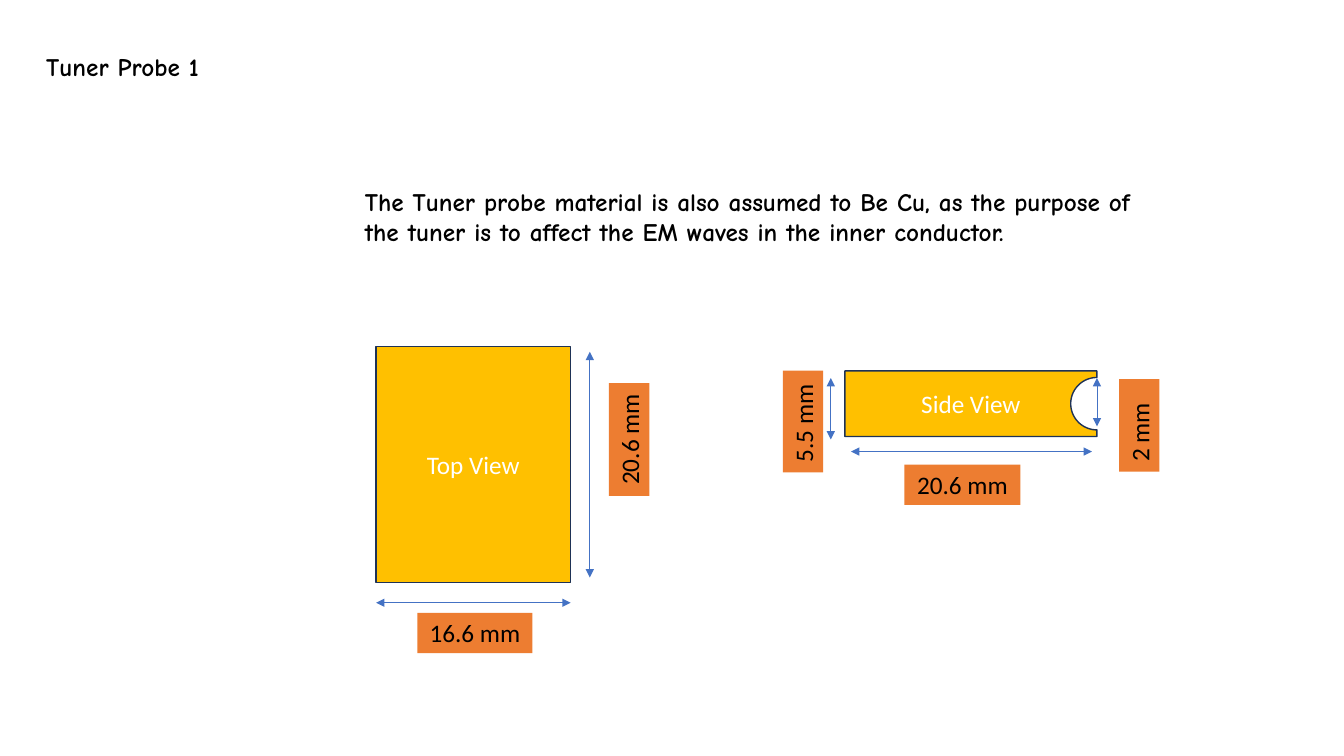
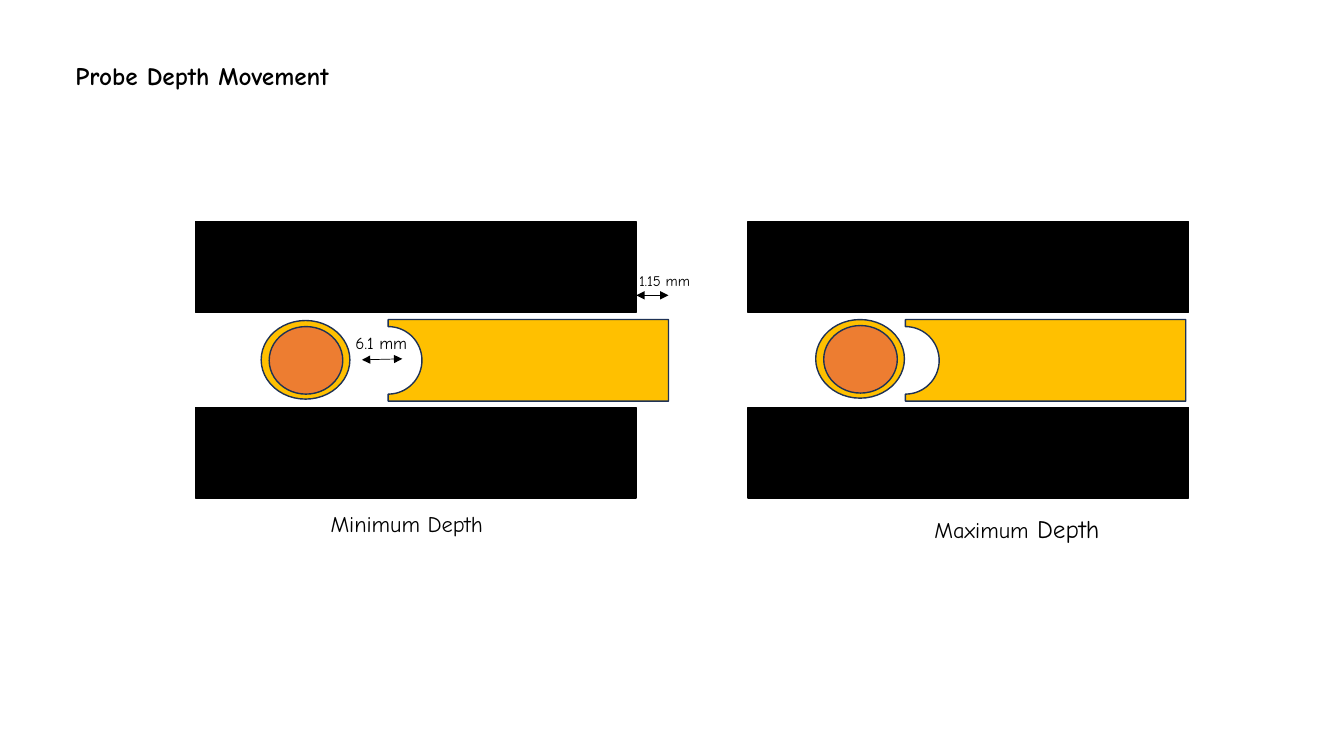
from math import cos, pi, sin

from lxml.etree import SubElement
from pptx import Presentation
from pptx.dml.color import RGBColor as Rgb
from pptx.enum.shapes import MSO_CONNECTOR as Link, MSO_SHAPE as Form
from pptx.enum.text import MSO_ANCHOR as Anchor, PP_ALIGN as Align
from pptx.oxml.ns import qn
from pptx.util import Inches, Pt

GOLD = Rgb(0xFF, 0xC0, 0x00)
ORANGE = Rgb(0xED, 0x7D, 0x31)
NAVY = Rgb(0x1E, 0x32, 0x56)
BLUE = Rgb(0x44, 0x72, 0xC4)
BLACK = Rgb(0, 0, 0)
WHITE = Rgb(0xFF, 0xFF, 0xFF)
COMIC = "Comic Neue"
PLAIN = "Calibri"


def write(shape, text, size=18, font=COMIC, color=BLACK, bold=False,
          align=Align.LEFT, anchor=Anchor.TOP):
    frame = shape.text_frame
    frame.word_wrap = True
    frame.vertical_anchor = anchor
    para = frame.paragraphs[0]
    para.alignment = align
    run = para.add_run()
    run.text = text
    run.font.size = Pt(size)
    run.font.name = font
    run.font.bold = bold
    run.font.color.rgb = color


class Deck:
    def __init__(self):
        self.show = Presentation()
        self.show.slide_width = Inches(13.33)
        self.show.slide_height = Inches(7.5)
        self.slide = None

    def page(self, title, x, y, w):
        self.slide = self.show.slides.add_slide(self.show.slide_layouts[6])
        self.note(title, x, y, w, 0.4, bold=True)

    def note(self, text, x, y, w, h, **style):
        box = self.slide.shapes.add_textbox(*map(Inches, (x, y, w, h)))
        write(box, text, **style)
        return box

    def paint(self, shape, fill, line):
        shape.shadow.inherit = False
        shape.fill.solid()
        shape.fill.fore_color.rgb = fill
        if line is None:
            shape.line.fill.background()
        else:
            shape.line.color.rgb = line
            shape.line.width = Pt(1)
        return shape

    def block(self, x, y, w, h, fill=GOLD, line=NAVY, form=Form.RECTANGLE):
        shape = self.slide.shapes.add_shape(form, *map(Inches, (x, y, w, h)))
        return self.paint(shape, fill, line)

    def label(self, text, x, y, w, turn=0, align=Align.CENTER):
        box = self.block(x, y, w, 0.4, ORANGE, None)
        box.rotation = turn
        write(box, text, font=PLAIN, align=align)

    def probe(self, x, y, w, h, radius, right=False):
        back, front, side = (x, x + w, -1) if right else (x + w, x, 1)
        mid = y + h / 2
        steps = 48
        arc = [(front + side * radius * sin(pi * i / steps),
                mid - radius * cos(pi * i / steps)) for i in range(steps + 1)]
        outline = [(front, y), *arc, (front, y + h), (back, y + h)]
        points = [(Inches(px), Inches(py)) for px, py in outline]
        pen = self.slide.shapes.build_freeform(Inches(back), Inches(y), scale=1)
        pen.add_line_segments(points, close=True)
        return self.paint(pen.convert_to_shape(), GOLD, NAVY)

    def arrow(self, x1, y1, x2, y2, color=BLUE):
        link = self.slide.shapes.add_connector(
            Link.STRAIGHT, *map(Inches, (x1, y1, x2, y2)))
        link.line.color.rgb = color
        link.line.width = Pt(0.5)
        line = link.line._get_or_add_ln()
        for end in ("a:headEnd", "a:tailEnd"):
            SubElement(line, qn(end), type="triangle")
        SubElement(link._element.spPr, qn("a:effectLst"))


def views(deck):
    deck.page("Tuner Probe 1", 0.36, 0.46, 2.08)
    top = deck.block(3.73, 3.44, 1.93, 2.34)
    side = deck.probe(8.38, 3.68, 2.5, 0.65, 0.26, right=True)
    for shape, text in ((top, "Top View"), (side, "Side View")):
        write(shape, text, font=PLAIN, color=WHITE,
              align=Align.CENTER, anchor=Anchor.MIDDLE)
    for ends in ((5.85, 3.49, 5.85, 5.73), (5.66, 5.98, 3.73, 5.98),
                 (8.24, 3.75, 8.24, 4.36), (8.44, 4.48, 10.83, 4.48),
                 (10.88, 3.75, 10.88, 4.23)):
        deck.arrow(*ends)
    deck.label("20.6 mm ", 5.68, 4.16, 1.12, turn=270)
    deck.label("16.6 mm ", 4.14, 6.08, 1.14)
    deck.label("2 mm", 10.84, 4.02, 0.92, turn=270, align=Align.LEFT)
    deck.label("5.5 mm", 7.46, 3.98, 1.01, turn=270, align=Align.LEFT)
    deck.label("20.6 mm ", 8.97, 4.61, 1.15)
    deck.note("The Tuner probe material is also assumed to Be Cu, as the "
              "purpose of the tuner is to affect the EM waves in the inner "
              "conductor.", 3.52, 1.8, 7.99, 1.01, bold=True)


def depths(deck):
    deck.page("Probe Depth Movement", 0.65, 0.55, 6.67)
    for wall, ring, rise, tip in ((1.94, 2.59, 3.18, 3.85),
                                  (7.42, 8.09, 3.17, 8.98)):
        for y in (2.2, 4.04):
            deck.block(wall, y, 4.37, 0.9, BLACK, BLACK)
        deck.block(ring, rise, 0.88, 0.78, form=Form.OVAL)
        deck.block(ring + 0.08, rise + 0.06, 0.73, 0.67, ORANGE,
                   form=Form.OVAL)
        deck.probe(tip, 3.17, 2.78, 0.81, 0.335)
    deck.arrow(3.59, 3.57, 3.99, 3.56, BLACK)
    deck.arrow(6.31, 2.93, 6.63, 2.93, BLACK)
    deck.note("1.15 mm ", 5.63, 2.65, 1.36, 0.28, size=10.5, align=Align.RIGHT)
    deck.note("6.1 mm ", 3.37, 3.25, 0.88, 0.3, size=12, align=Align.CENTER)
    deck.note("Minimum Depth", 3.18, 5.01, 1.88, 0.37, size=16)
    most = deck.note("Maximum", 9.17, 5.04, 1.96, 0.4, size=16)
    write(most, " Depth")


def main():
    deck = Deck()
    views(deck)
    depths(deck)
    deck.show.save("out.pptx")


if __name__ == "__main__":
    main()
